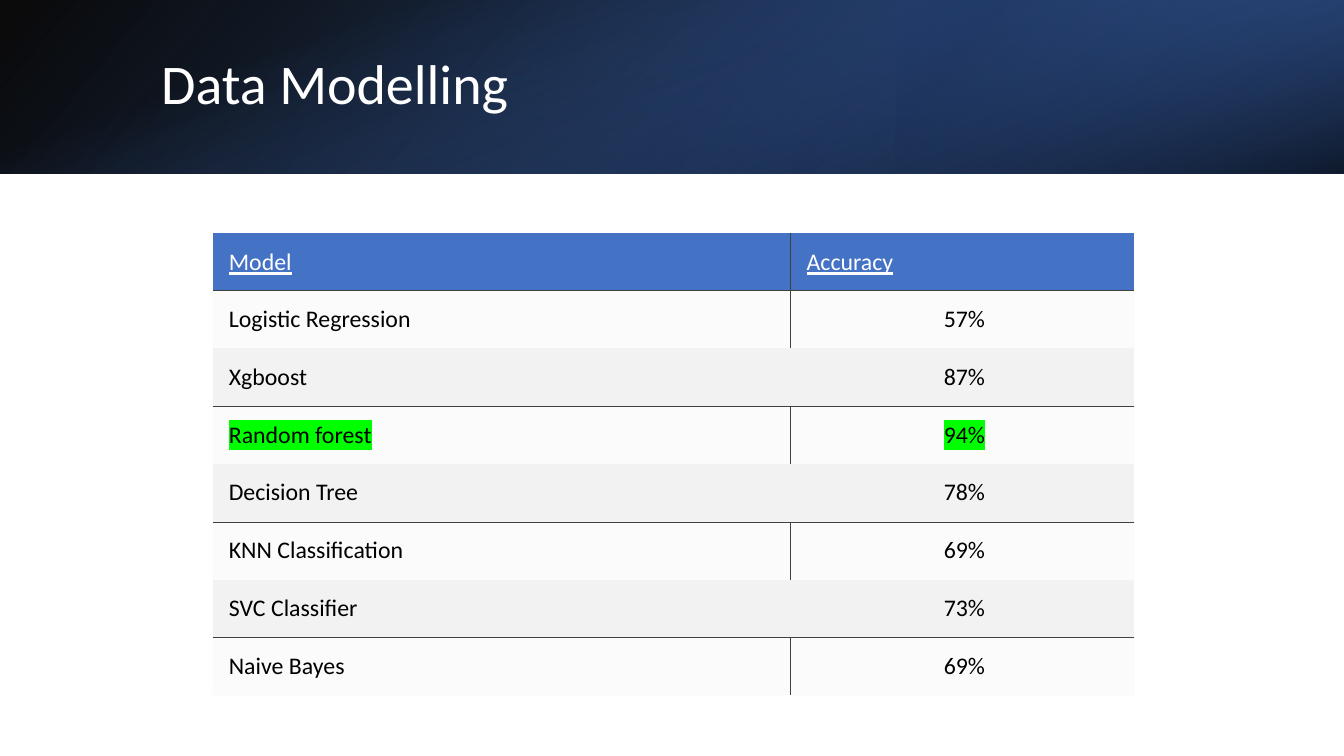
from lxml import etree
from pptx import Presentation, util as u
from pptx.dml.color import RGBColor
from pptx.enum import shapes, text
from pptx.oxml import ns

WIDTH, HEIGHT = 13.33, 7.5
FONT = "Calibri"
RULE, HEADER, BAND = "404040", "4472C4", "F2F2F2"
BEST = "Random forest"
RESULTS = [
    ("Model", "Accuracy"),
    ("Logistic Regression", "57%"),
    ("Xgboost", "87%"),
    (BEST, "94%"),
    ("Decision Tree", "78%"),
    ("KNN Classification", "69%"),
    ("SVC Classifier", "73%"),
    ("Naive Bayes", "69%"),
]


def color(value):
    return RGBColor.from_string(value)


def add(parent, tag, **attributes):
    return etree.SubElement(parent, ns.qn(tag), {k: str(v) for k, v in attributes.items()})


def add_color(parent, value, alpha=100):
    node = add(parent, "a:srgbClr", val=color(value))
    if alpha < 100:
        add(node, "a:alpha", val=alpha * 1000)


def apply(target, formats):
    for name, value in formats.items():
        setattr(target, name, value)


def write(para, words, size, ink, spacing, align=None, underline=None, highlight=None):
    apply(para, {"line_spacing": spacing, "alignment": align})
    span = para.add_run()
    span.text = words
    span.font.color.rgb = color(ink)
    if highlight:
        add_color(add(span._r.get_or_add_rPr(), "a:highlight"), highlight)
    apply(span.font, {"name": FONT, "size": u.Pt(size), "underline": underline})


def add_gradient(page, box, stops, angle, rotation=0, flip=False):
    panel = page.shapes.add_shape(shapes.MSO_SHAPE.RECTANGLE, *map(u.Inches, box))
    panel.shadow.inherit = False
    panel.rotation = rotation
    panel.fill.background()
    properties = panel._element.spPr
    if flip:
        properties.find(ns.qn("a:xfrm")).set("flipH", "1")
    gradient = etree.Element(ns.qn("a:gradFill"), rotWithShape="1")
    stop_list = add(gradient, "a:gsLst")
    for position, value, alpha in stops:
        add_color(add(stop_list, "a:gs", pos=position * 1000), value, alpha)
    add(gradient, "a:lin", ang=angle * 60000, scaled=0)
    properties.replace(properties.find(ns.qn("a:noFill")), gradient)
    panel.line.fill.background()


def draw_banner(page, box):
    left, top, width, height = box
    third = (left + width * 2 / 3, top, width / 3, height)
    upright = (left + (width - height) / 2, top + (height - width) / 2, height, width)
    add_gradient(page, box, [(0, "000000", 96), (100, "2F5597", 100)], 140, flip=True)
    add_gradient(page, third, [(19, "203864", 68), (100, "4472C4", 79)], 320, 180, True)
    add_gradient(page, upright, [(23, "4472C4", 0), (99, "000000", 74)], 340, 90)
    title = page.shapes.add_textbox(*map(u.Inches, (left + 1.5, top + 0.38, 10.98, 0.96)))
    frame = title.text_frame
    apply(frame, {"word_wrap": True, "vertical_anchor": text.MSO_ANCHOR.MIDDLE})
    write(frame.paragraphs[0], "Data Modelling", 40, "FFFFFF", 0.9)


def style_cell(cell, fill, alpha, ruled_sides):
    properties = cell._tc.get_or_add_tcPr()
    for side in "LRTB":
        line = add(properties, f"a:ln{side}", w=u.Pt(0.5))
        if side in ruled_sides:
            add_color(add(line, "a:solidFill"), RULE)
        else:
            add(line, "a:noFill")
    add_color(add(properties, "a:solidFill"), fill, alpha)


def draw_results(page, box):
    frame = page.shapes.add_table(len(RESULTS), 2, *map(u.Inches, box))
    table = frame.table
    apply(table, {"first_row": False, "horz_banding": False})
    for column, share in zip(table.columns, (0.627, 0.373)):
        column.width = u.Inches(box[2] * share)
    for row, entry in enumerate(RESULTS):
        header, tinted = row == 0, row % 2 == 1
        for col, words in enumerate(entry):
            cell = table.cell(row, col)
            sides = "T" if tinted else "B"
            if header or tinted:
                sides += "RL"[col]
            style_cell(cell, HEADER if header else BAND, 30 if tinted else 100, sides)
            apply(cell, {
                "margin_left": u.Inches(0.16),
                "margin_right": u.Inches(0.12),
                "margin_top": u.Inches(0.12),
                "margin_bottom": u.Inches(0.12),
                "vertical_anchor": text.MSO_ANCHOR.MIDDLE if header else text.MSO_ANCHOR.TOP,
            })
            write(
                cell.text_frame.paragraphs[0], words, 17,
                "FFFFFF" if header else "000000", 1.07,
                align=text.PP_ALIGN.CENTER if col and not header else None,
                underline=header,
                highlight="00FF00" if entry[0] == BEST else None,
            )


def main():
    deck = Presentation()
    apply(deck, {"slide_width": u.Inches(WIDTH), "slide_height": u.Inches(HEIGHT)})
    page = deck.slides.add_slide(deck.slide_layouts[6])
    page.background.fill.solid()
    page.background.fill.fore_color.rgb = color("FFFFFF")
    draw_banner(page, (0, 0, WIDTH, 1.72))
    draw_results(page, (2.11, 2.31, 9.14, 4.59))
    deck.save("out.pptx")


if __name__ == "__main__":
    main()
